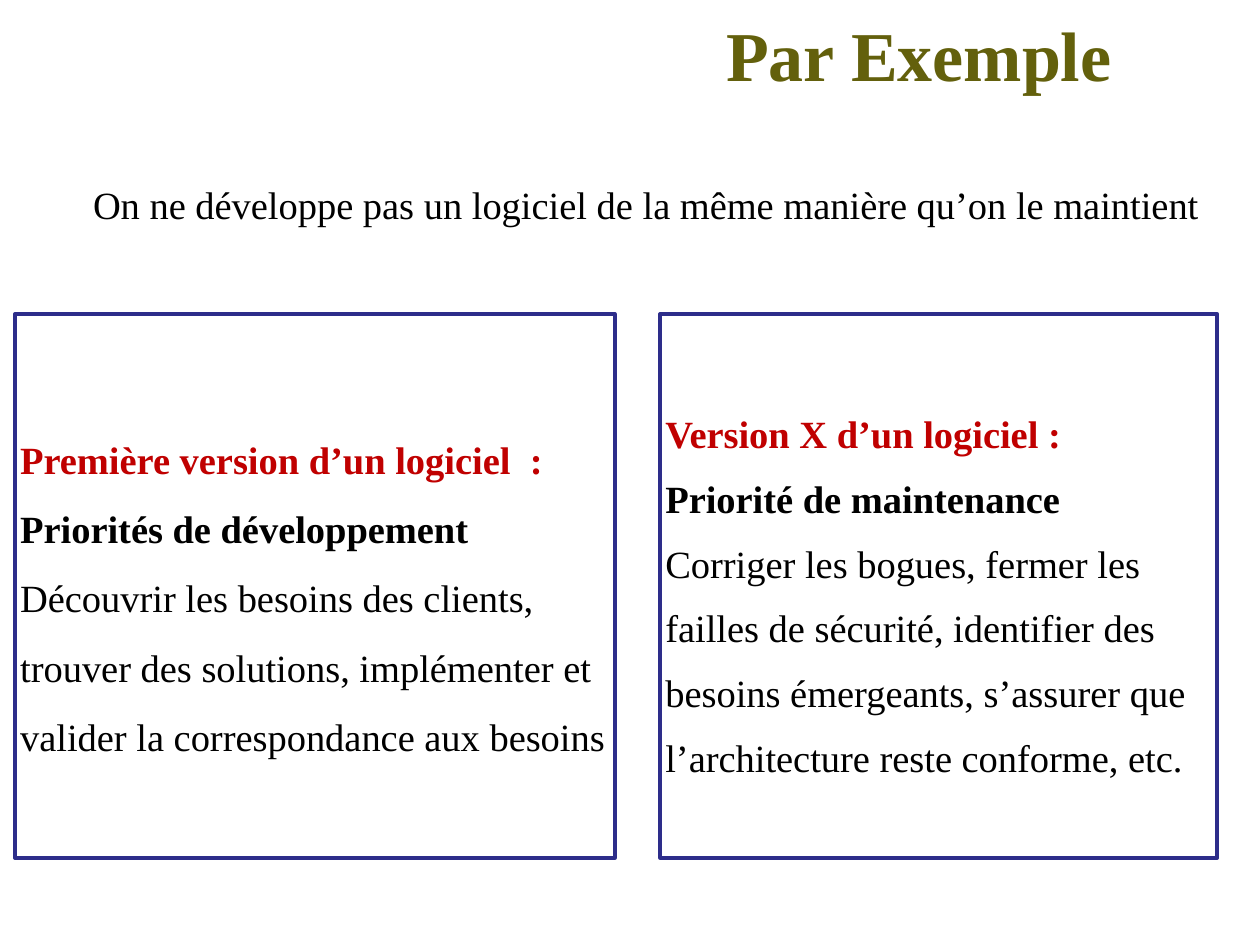
from dataclasses import dataclass

from pptx import Presentation
from pptx.dml.color import RGBColor
from pptx.enum.shapes import MSO_SHAPE
from pptx.enum.text import MSO_ANCHOR, PP_ALIGN
from pptx.util import Inches, Pt


@dataclass(frozen=True)
class Theme:
    font: str = "Times New Roman"
    title: str = "63600C"
    head: str = "C00000"
    text: str = "000000"
    fill: str = "FFFFFF"
    edge: str = "2D2D8A"
    big: int = 40
    body: int = 22
    line: int = 2


THEME = Theme()


def color(code):
    return RGBColor.from_string(code)


def style(para, text, size, code, bold=False):
    para.text = text
    para.font.name = THEME.font
    para.font.size = Pt(size)
    para.font.bold = bold
    para.font.color.rgb = color(code)


def set_frame(frame, side, edge, anchor):
    frame.word_wrap = True
    frame.margin_left = frame.margin_right = Inches(side)
    frame.margin_top = frame.margin_bottom = Inches(edge)
    frame.vertical_anchor = anchor


def add_title(slide, text):
    box = slide.shapes.add_textbox(Inches(0), Inches(-0.2), Inches(9), Inches(1.25))
    set_frame(box.text_frame, 0.04, 0.04, MSO_ANCHOR.MIDDLE)
    para = box.text_frame.paragraphs[0]
    style(para, text, THEME.big, THEME.title, True)
    para.alignment = PP_ALIGN.RIGHT


def add_intro(slide, text):
    box = slide.shapes.add_textbox(Inches(0.64), Inches(1.39), Inches(9), Inches(0.84))
    set_frame(box.text_frame, 0.1, 0.05, MSO_ANCHOR.TOP)
    style(box.text_frame.paragraphs[0], text, THEME.body, THEME.text)


def add_panel(slide, left, width, space, head, topic, body):
    panel = slide.shapes.add_shape(
        MSO_SHAPE.RECTANGLE, Inches(left), Inches(2.49), Inches(width), Inches(4.32)
    )
    panel.shadow.inherit = False
    panel.fill.solid()
    panel.fill.fore_color.rgb = color(THEME.fill)
    panel.line.color.rgb = color(THEME.edge)
    panel.line.width = Pt(THEME.line)
    frame = panel.text_frame
    set_frame(frame, 0.04, 0.04, MSO_ANCHOR.MIDDLE)
    rows = [(head, THEME.head, True), (topic, THEME.text, True), (body, THEME.text, False)]
    for index, (text, code, bold) in enumerate(rows):
        para = frame.add_paragraph() if index else frame.paragraphs[0]
        style(para, text, THEME.body, code, bold)
        para.alignment = PP_ALIGN.LEFT
        para.line_spacing = space


def main():
    deck = Presentation()
    deck.slide_width, deck.slide_height = Inches(10), Inches(7.5)
    slide = deck.slides.add_slide(deck.slide_layouts[6])
    add_title(slide, "Par Exemple ")
    add_panel(
        slide, 0.12, 4.76, 1.5,
        "Première version d’un logiciel  :",
        "Priorités de développement",
        "Découvrir les besoins des clients, trouver des solutions, "
        "implémenter et valider la correspondance aux besoins",
    )
    add_panel(
        slide, 5.24, 4.42, 1.4,
        "Version X d’un logiciel :",
        "Priorité de maintenance",
        "Corriger les bogues, fermer les failles de sécurité, identifier des "
        "besoins émergeants, s’assurer que l’architecture reste conforme, etc.",
    )
    add_intro(slide, "On ne développe pas un logiciel de la même manière qu’on le maintient")
    deck.save("out.pptx")


if __name__ == "__main__":
    main()
